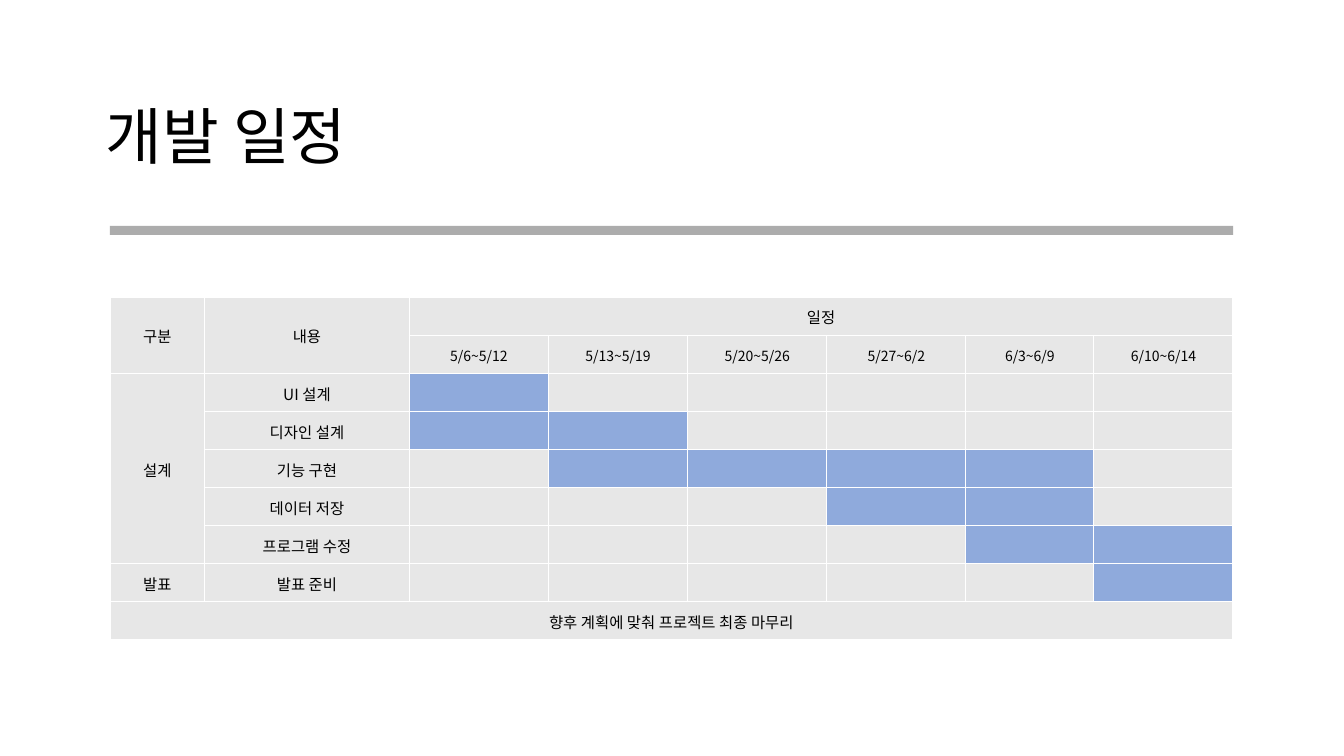
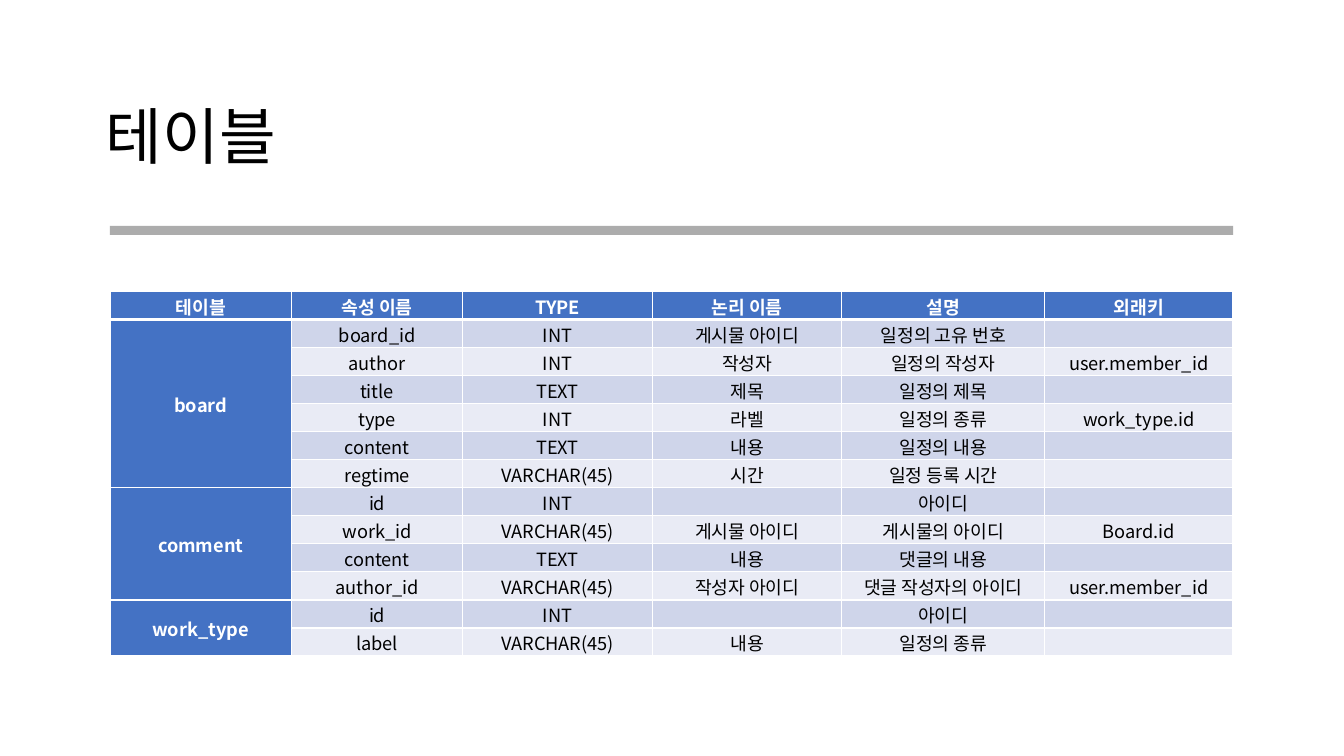
from itertools import accumulate

from lxml.etree import SubElement
from pptx import Presentation
from pptx.dml.color import RGBColor
from pptx.enum.shapes import MSO_SHAPE as Shape
from pptx.enum.text import MSO_ANCHOR as Anchor, PP_ALIGN as Align
from pptx.oxml.ns import qn
from pptx.util import Inches, Pt

FONT = "Noto Sans CJK KR"
COLORS = {
    "text": "000000",
    "white": "FFFFFF",
    "rule": "808080",
    "plain": "E7E7E7",
    "busy": "8FAADC",
    "header": "4472C4",
    "odd": "CFD5EA",
    "even": "E9EBF5",
}
LEFT, WIDTH = Inches(1.09), Inches(11.14)

WEEKS = ["5/6~5/12", "5/13~5/19", "5/20~5/26", "5/27~6/2", "6/3~6/9", "6/10~6/14"]
TASKS = [
    ("설계", "UI 설계", 0, 0),
    ("", "디자인 설계", 0, 1),
    ("", "기능 구현", 1, 4),
    ("", "데이터 저장", 3, 4),
    ("", "프로그램 수정", 4, 5),
    ("발표", "발표 준비", 5, 5),
]
CLOSING = "향후 계획에 맞춰 프로젝트 최종 마무리"

FIELD_HEADS = ["테이블", "속성 이름", "TYPE", "논리 이름", "설명", "외래키"]
ENTITIES = {
    "board": [
        ("board_id", "INT", "게시물 아이디", "일정의 고유 번호", ""),
        ("author", "INT", "작성자", "일정의 작성자", "user.member_id"),
        ("title", "TEXT", "제목", "일정의 제목", ""),
        ("type", "INT", "라벨", "일정의 종류", "work_type.id"),
        ("content", "TEXT", "내용", "일정의 내용", ""),
        ("regtime", "VARCHAR(45)", "시간", "일정 등록 시간", ""),
    ],
    "comment": [
        ("id", "INT", "", "아이디", ""),
        ("work_id", "VARCHAR(45)", "게시물 아이디", "게시물의 아이디", "Board.id"),
        ("content", "TEXT", "내용", "댓글의 내용", ""),
        ("author_id", "VARCHAR(45)", "작성자 아이디", "댓글 작성자의 아이디", "user.member_id"),
    ],
    "work_type": [
        ("id", "INT", "", "아이디", ""),
        ("label", "VARCHAR(45)", "내용", "일정의 종류", ""),
    ],
}


def rgb(name):
    """Return the named colour."""
    return RGBColor.from_string(COLORS[name])


def style_text(paragraph, size, color="text", bold=False):
    """Format every run, or the empty paragraph's height."""
    for run in paragraph.runs:
        run.font.name, run.font.size, run.font.bold = FONT, Pt(size), bold
        run.font.color.rgb = rgb(color)
        SubElement(run.font._element, qn("a:ea"), typeface=FONT)
    if not paragraph.runs:
        SubElement(paragraph._p, qn("a:endParaRPr"), sz=str(size * 100))


def add_titled_slide(prs, heading):
    """Add a slide with its title and the grey rule below."""
    slide = prs.slides.add_slide(prs.slide_layouts[5])
    title = slide.shapes.title
    title.left, title.top = Inches(0.95), Inches(0.66)
    title.width, title.height = Inches(11.43), Inches(1.45)
    title.text_frame.text = heading
    title.text_frame.vertical_anchor = Anchor.MIDDLE
    paragraph = title.text_frame.paragraphs[0]
    paragraph.alignment, paragraph.line_spacing = Align.LEFT, 0.9
    style_text(paragraph, 44)

    rule = slide.shapes.add_shape(Shape.RECTANGLE, LEFT, Inches(2.24), WIDTH, Inches(0.09))
    rule.shadow.inherit = False
    rule.line.fill.background()
    rule.fill.solid()
    rule.fill.fore_color.rgb = rgb("rule")
    tint = rule._element.spPr.find(".//" + qn("a:srgbClr"))
    SubElement(tint, qn("a:alpha"), val="65000")
    return slide


def add_grid(slide, top, height, widths, row_count):
    """Add an unstyled table with equal rows."""
    frame = slide.shapes.add_table(row_count, len(widths), LEFT, Inches(top), WIDTH, Inches(height))
    grid = frame.table
    grid.first_row = grid.horz_banding = False
    for column, width in zip(grid.columns, widths):
        column.width = Inches(width)
    for row in grid.rows:
        row.height = round(Inches(height) / row_count)
    return grid


def add_borders(cell, bottom):
    """Draw white cell edges, with the given bottom weight."""
    for side, weight in (("L", 1), ("R", 1), ("T", 1), ("B", bottom)):
        edge = SubElement(cell._tc.get_or_add_tcPr(), qn(f"a:ln{side}"), w=str(Pt(weight)))
        SubElement(SubElement(edge, qn("a:solidFill")), qn("a:srgbClr"), val=COLORS["white"])


def fill_cell(cell, text, size, fill, inset, color="text", bold=False, bottom=1):
    """Set one cell's text, fill and borders."""
    cell.margin_left = cell.margin_right = Inches(inset[0])
    cell.margin_top = cell.margin_bottom = Inches(inset[1])
    cell.vertical_anchor = Anchor.MIDDLE
    add_borders(cell, bottom)
    cell.fill.solid()
    cell.fill.fore_color.rgb = rgb(fill)
    cell.text_frame.text = text
    paragraph = cell.text_frame.paragraphs[0]
    paragraph.alignment, paragraph.line_spacing = Align.CENTER, 1.07
    style_text(paragraph, size, color, bold)


def build_schedule(prs):
    """Build the development schedule slide."""
    slide = add_titled_slide(prs, "개발 일정")
    blanks = [""] * len(WEEKS)
    rows = [["구분", "내용", "일정", *blanks[1:]], ["", "", *WEEKS]]
    rows += [[group, task, *blanks] for group, task, _, _ in TASKS]
    rows.append([CLOSING, "", *blanks])
    widths = [0.94, 2.03, 1.38, 1.38, 1.38, 1.38, 1.27, 1.38]
    grid = add_grid(slide, 2.95, 3.4, widths, len(rows))
    busy = {
        (row, week + 2)
        for row, (_, _, first, last) in enumerate(TASKS, 2)
        for week in range(first, last + 1)
    }
    for r, row in enumerate(rows):
        for c, text in enumerate(row):
            size = 10 if text in WEEKS else 11
            fill = "busy" if (r, c) in busy else "plain"
            fill_cell(grid.cell(r, c), text, size, fill, (0.07, 0.07))
    for start, end in [
        ((0, 0), (1, 0)),
        ((0, 1), (1, 1)),
        ((0, 2), (0, 7)),
        ((2, 0), (6, 0)),
        ((8, 0), (8, 7)),
    ]:
        grid.cell(*start).merge(grid.cell(*end))


def build_entities(prs):
    """Build the database table slide."""
    slide = add_titled_slide(prs, "테이블")
    rows = [FIELD_HEADS]
    for entity, fields in ENTITIES.items():
        rows += [[entity if i == 0 else "", *field] for i, field in enumerate(fields)]
    grid = add_grid(slide, 2.89, 3.62, [1.8, 1.7, 1.88, 1.88, 2.01, 1.87], len(rows))
    for r, row in enumerate(rows):
        for c, text in enumerate(row):
            heading = r == 0 or c == 0
            fill = "header" if heading else "odd" if r % 2 else "even"
            fill_cell(
                grid.cell(r, c), text, 13, fill, (0.03, 0),
                color="white" if heading else "text",
                bold=heading, bottom=3 if r == 0 else 1,
            )
    counts = [len(fields) for fields in ENTITIES.values()]
    for count, last in zip(counts, accumulate(counts)):
        grid.cell(last - count + 1, 0).merge(grid.cell(last, 0))


def main():
    """Build and save the presentation."""
    prs = Presentation()
    prs.slide_width, prs.slide_height = Inches(13.33), Inches(7.5)
    build_schedule(prs)
    build_entities(prs)
    prs.save("out.pptx")


if __name__ == "__main__":
    main()
